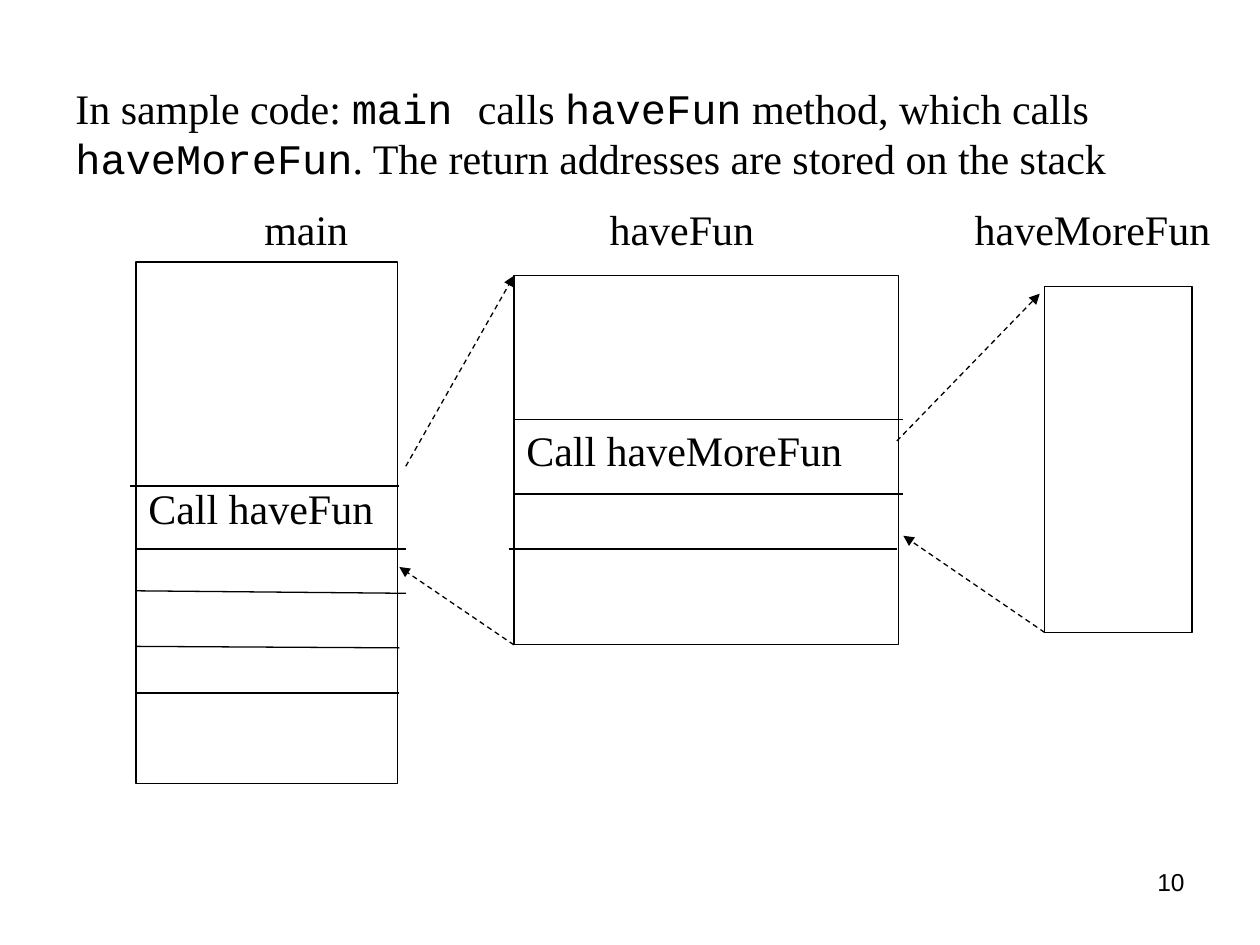
from lxml.etree import SubElement
from pptx import Presentation
from pptx.dml.color import RGBColor
from pptx.enum.dml import MSO_LINE
from pptx.enum.shapes import MSO_CONNECTOR, MSO_SHAPE
from pptx.enum.text import MSO_ANCHOR, PP_ALIGN
from pptx.oxml.ns import qn
from pptx.util import Cm, Pt

# Content: runs are (text, font key); lengths are in cm
INTRO = [
    ("In sample code: ", "body"), ("main ", "code"), ("calls ", "body"),
    ("haveFun", "code"), (" method, which calls ", "body"),
    ("haveMoreFun", "code"),
    (". The return addresses are stored on the stack", "body"),
]
HEADS = [("\tmain\thaveFun\thaveMoreFun", "body")]
TABS = [3.81, 10.77, 18.13]
PAGE = [("10", "page")]

# Blocks: place, call text, text inset from the top,
# rules as (left, top, right, drop)
BLOCKS = [
    dict(at=(2.74, 5.28, 5.28, 10.52), call="Call haveFun", inset=4.45,
         rules=[(2.62, 9.8, 8.05, 0), (2.74, 11.07, 8.18, 0),
                (2.74, 11.91, 8.18, 0.05), (2.74, 13.03, 8.05, 0.03),
                (2.74, 13.97, 8.05, 0)]),
    dict(at=(10.36, 5.56, 7.75, 7.44), call="Call haveMoreFun", inset=3,
         rules=[(10.36, 8.46, 18.21, 0), (10.36, 9.96, 18.21, 0),
                (10.26, 11.07, 18.08, 0)]),
    dict(at=(21.06, 5.77, 2.97, 6.98), call="", inset=0, rules=[]),
]
# Calls go out, returns come back
ARROWS = [
    (8.18, 9.4, 10.36, 5.56), (10.36, 13, 8.05, 11.43),
    (18.08, 8.89, 20.96, 5.92), (21.06, 12.75, 18.21, 10.8),
]

THEME = dict(
    ink=RGBColor(0, 0, 0), line=Pt(0.75), gap=Pt(12),
    body=("Times New Roman", Pt(24)),
    code=("Courier New", Pt(24)),
    page=("Arial", Pt(14)),
)

deck = Presentation()
deck.slide_width, deck.slide_height = Cm(25.4), Cm(19.05)
slide = deck.slides.add_slide(deck.slide_layouts[6])
shapes = slide.shapes


def write(frame, *paras, align=PP_ALIGN.LEFT, anchor=MSO_ANCHOR.TOP,
          gap=None, tabs=()):
    """Fill a text frame with paragraphs made of (text, font key) runs."""
    frame.word_wrap = True
    frame.vertical_anchor = anchor
    for i, runs in enumerate(paras):
        para = frame.add_paragraph() if i else frame.paragraphs[0]
        para.alignment = align
        if i and gap:
            para.space_before = gap
        if tabs:
            stops = SubElement(para._p.get_or_add_pPr(), qn("a:tabLst"))
            for stop in tabs:
                SubElement(stops, qn("a:tab"), pos=str(Cm(stop)), algn="l")
        for text, key in runs:
            run = para.add_run()
            run.text = text
            run.font.name, run.font.size = THEME[key]
            run.font.color.rgb = THEME["ink"]


def label(at, *paras, **form):
    frame = shapes.add_textbox(*map(Cm, at)).text_frame
    write(frame, *paras, **form)
    return frame


def stroke(line):
    line.color.rgb = THEME["ink"]
    line.width = THEME["line"]


def link(ends, arrow=False):
    wire = shapes.add_connector(MSO_CONNECTOR.STRAIGHT, *map(Cm, ends))
    stroke(wire.line)
    if arrow:
        wire.line.dash_style = MSO_LINE.DASH
        SubElement(wire.line._get_or_add_ln(), qn("a:tailEnd"),
                   type="triangle")
    SubElement(wire._element.spPr, qn("a:effectLst"))


# Code blocks with their rules
for block in BLOCKS:
    box = shapes.add_shape(MSO_SHAPE.RECTANGLE, *map(Cm, block["at"]))
    box.shadow.inherit = False
    box.fill.background()
    stroke(box.line)
    if block["call"]:
        box.text_frame.margin_top = Cm(block["inset"])
        write(box.text_frame, [(block["call"], "body")])
    for left, top, right, drop in block["rules"]:
        link((left, top, right, top + drop))

# Call and return arrows
for ends in ARROWS:
    link(ends, arrow=True)

# Intro with block names, page number
intro = label((1.27, 1.47, 23.42, 3.84), INTRO, HEADS,
              anchor=MSO_ANCHOR.MIDDLE, gap=THEME["gap"], tabs=TABS)
intro.margin_right = 0
label((18.21, 17.35, 5.92, 1.32), PAGE, align=PP_ALIGN.RIGHT)

deck.save("out.pptx")
